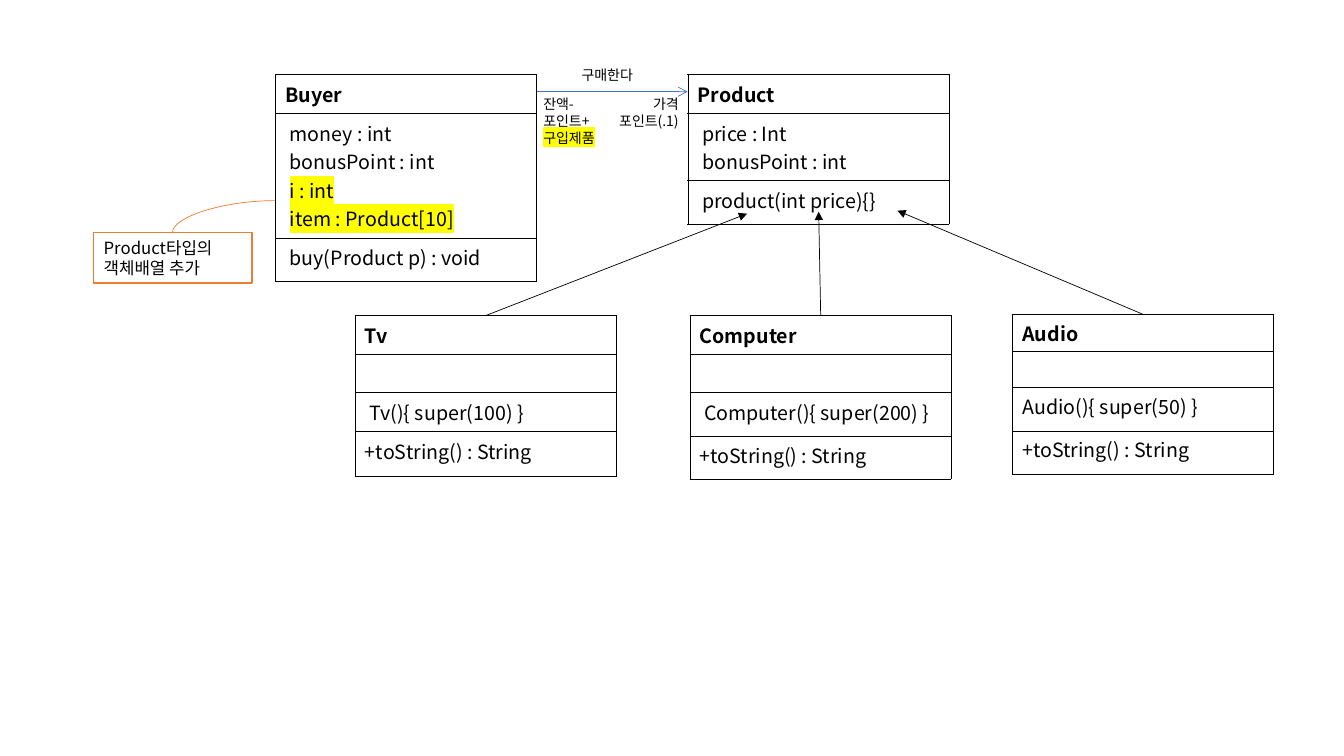
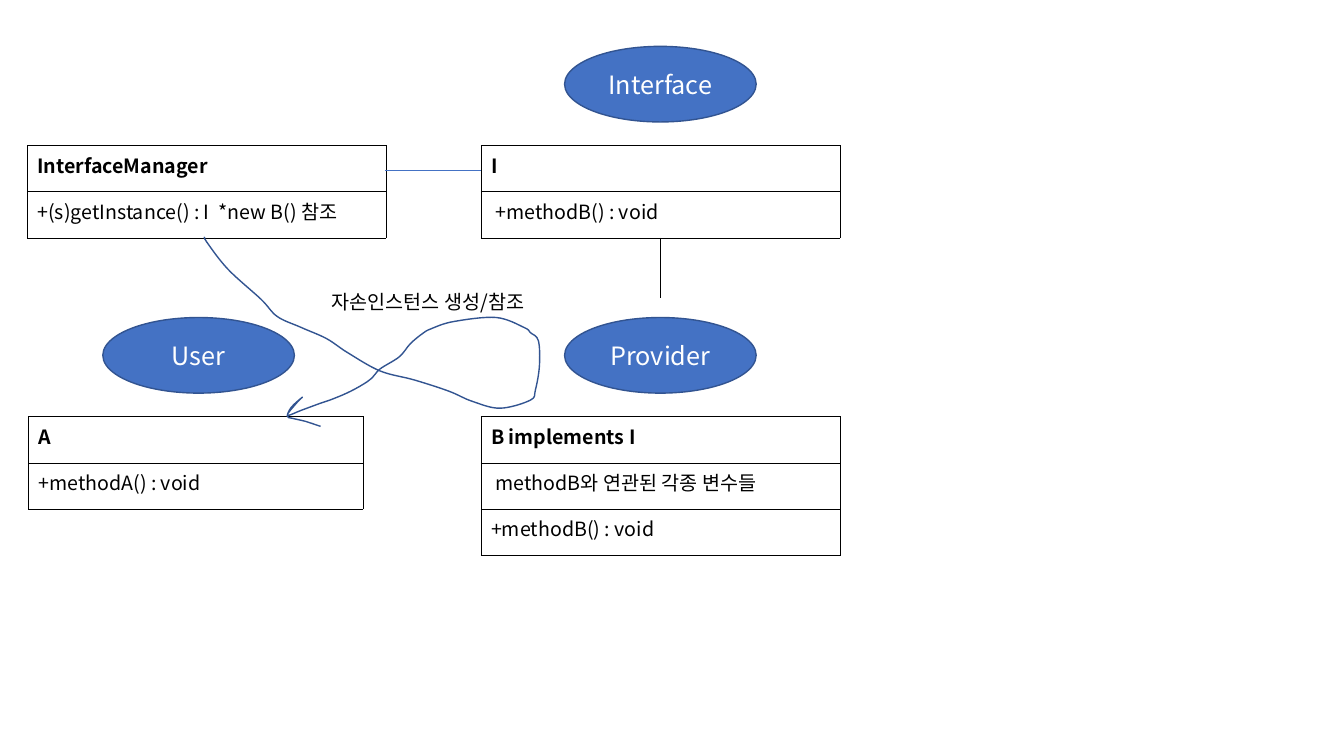
"""Build two class-diagram slides: a shop purchase and an interface manager."""
import lxml.etree
import pptx
import pptx.dml.color
import pptx.enum.shapes
import pptx.enum.text
import pptx.oxml.ns
import pptx.util

Inches = pptx.util.Inches
Pt = pptx.util.Pt
qn = pptx.oxml.ns.qn
rgb = pptx.dml.color.RGBColor.from_string
SubElement = lxml.etree.SubElement
SHAPES = pptx.enum.shapes.MSO_SHAPE
LINES = pptx.enum.shapes.MSO_CONNECTOR
ALIGN = pptx.enum.text.PP_ALIGN
ANCHOR = pptx.enum.text.MSO_ANCHOR
GROW = pptx.enum.text.MSO_AUTO_SIZE.SHAPE_TO_FIT_TEXT

FONT = "Noto Sans CJK KR"
BLACK, WHITE, YELLOW = "000000", "FFFFFF", "FFFF00"
BLUE, NAVY, ORANGE = "4472C4", "325491", "ED7D31"


def write(frame, text, size=14, color=BLACK, bold=False, align=ALIGN.LEFT):
    """Write lines into a text frame; what follows a bar is highlighted."""
    for index, line in enumerate(text.split("\n")):
        para = frame.add_paragraph() if index else frame.paragraphs[0]
        para.alignment = align
        plain, _, marked = line.partition("|")
        for part, highlight in ((plain, None), (marked, YELLOW)):
            if not part:
                continue
            span = para.add_run()
            span.text = part
            span.font.size = Pt(size)
            span.font.bold = bold
            span.font.name = FONT
            span.font.color.rgb = rgb(color)
            properties = span._r.get_or_add_rPr()
            properties.find(qn("a:latin")).addnext(
                properties.makeelement(qn("a:ea"), {"typeface": FONT}))
            if highlight:
                mark = properties.makeelement(qn("a:highlight"), {})
                SubElement(mark, qn("a:srgbClr"), val=highlight)
                properties.find(qn("a:solidFill")).addnext(mark)
        if not line:
            SubElement(para._p, qn("a:endParaRPr"), sz=str(size * 100))


def connect(page, start, end, color=BLACK, head=None, kind=LINES.STRAIGHT):
    """Draw a thin connector, with an arrowhead at its end if one is named."""
    line = page.shapes.add_connector(kind, *map(Inches, start + end))
    line.line.color.rgb = rgb(color)
    line.line.width = Pt(0.5)
    if head:
        SubElement(line.line._get_or_add_ln(), qn("a:tailEnd"), type=head)
    SubElement(line._element.spPr, qn("a:effectLst"))
    return line


deck = pptx.Presentation()
deck.slide_width, deck.slide_height = Inches(13.33), Inches(7.5)
shop, manager = [deck.slides.add_slide(deck.slide_layouts[6]) for _ in range(2)]

classes = [
    (shop, 6.82, 0.74, 2.59, 0.05, [
        (0.36, "Product"), (0.36, " price : Int\n bonusPoint : int"),
        (0.43, " product(int price){}")]),
    (shop, 2.73, 0.74, 2.59, 0.05, [
        (0.36, "Buyer"),
        (0.36, " money : int\n bonusPoint : int\n |i : int\n |item : Product[10]"),
        (0.43, " buy(Product p) : void")]),
    (shop, 3.52, 3.13, 2.59, 0.05, [
        (0.38, "Tv"), (0.38, ""), (0.38, " Tv(){ super(100) }"),
        (0.45, "+toString() : String")]),
    (shop, 6.84, 3.13, 2.59, 0.05, [
        (0.38, "Computer"), (0.38, ""), (0.43, " Computer(){ super(200) }"),
        (0.43, "+toString() : String")]),
    (shop, 10.04, 3.12, 2.59, 0.04, [
        (0.36, "Audio"), (0.36, ""), (0.43, "Audio(){ super(50) }"),
        (0.43, "+toString() : String")]),
    (manager, 0.28, 4.13, 3.32, 0.05, [
        (0.46, "A"), (0.46, "+methodA() : void")]),
    (manager, 4.77, 4.13, 3.56, 0.05, [
        (0.46, "B implements I"), (0.46, " methodB와 연관된 각종 변수들"),
        (0.46, "+methodB() : void")]),
    (manager, 4.77, 1.44, 3.56, 0.05, [
        (0.46, "I"), (0.46, " +methodB() : void")]),
    (manager, 0.27, 1.44, 3.56, 0.05, [
        (0.46, "InterfaceManager"), (0.46, "+(s)getInstance() : I  *new B() 참조")]),
]
for page, left, top, width, margin, rows in classes:
    height = sum(row_height for row_height, _ in rows)
    table = page.shapes.add_table(
        len(rows), 1, Inches(left), Inches(top), Inches(width), Inches(height)).table
    table.first_row = table.horz_banding = False
    for index, (row_height, text) in enumerate(rows):
        table.rows[index].height = Inches(row_height)
        cell = table.cell(index, 0)
        cell.margin_top = cell.margin_bottom = Inches(margin)
        cell.fill.solid()
        cell.fill.fore_color.rgb = rgb(WHITE)
        write(cell.text_frame, text, bold=index == 0)
        properties = cell._tc.get_or_add_tcPr()
        for place, side in enumerate(("a:lnL", "a:lnR", "a:lnT", "a:lnB")):
            border = properties.makeelement(qn(side), {"w": str(Pt(0.25))})
            paint = SubElement(border, qn("a:solidFill"))
            SubElement(paint, qn("a:srgbClr"), val=BLACK)
            properties.insert(place, border)

for start, end in [((4.82, 3.13), (7.41, 2.12)), ((8.14, 3.13), (8.12, 2.1)),
                   ((11.34, 3.12), (8.9, 2.09))]:
    connect(shop, start, end, head="triangle")
connect(shop, (5.33, 0.91), (6.82, 0.91), color=BLUE, head="arrow")
curve = connect(shop, (2.73, 1.99), (1.71, 2.31), color=ORANGE, kind=LINES.CURVE)
curve._element.spPr.find(qn("a:prstGeom")).set("prst", "curvedConnector2")
connect(manager, (6.55, 2.36), (6.55, 2.96))
connect(manager, (4.77, 1.69), (3.82, 1.69), color=BLUE)

labels = [
    (shop, 5.67, 0.61, 0.76, 0.27, "구매한다", 10, ALIGN.LEFT),
    (shop, 6.01, 0.9, 0.82, 0.44, "가격\n포인트(.1)", 10, ALIGN.RIGHT),
    (shop, 5.29, 0.9, 0.76, 0.61, "잔액-\n포인트+\n|구입제품", 10, ALIGN.LEFT),
    (manager, 3.19, 2.83, 2.31, 0.34, "자손인스턴스 생성/참조", 14, ALIGN.LEFT),
]
for page, left, top, width, height, text, size, align in labels:
    box = page.shapes.add_textbox(*map(Inches, (left, top, width, height)))
    box.text_frame.word_wrap = False
    box.text_frame.auto_size = GROW
    write(box.text_frame, text, size=size, align=align)

note = shop.shapes.add_shape(
    SHAPES.RECTANGLE, Inches(0.93), Inches(2.31), Inches(1.57), Inches(0.5))
note.shadow.inherit = False
note.fill.solid()
note.fill.fore_color.rgb = rgb(WHITE)
note.line.color.rgb = rgb(ORANGE)
note.line.width = Pt(1)
note.text_frame.word_wrap = True
note.text_frame.auto_size = GROW
note.text_frame.vertical_anchor = ANCHOR.TOP
write(note.text_frame, "Product타입의 \n객체배열 추가", size=12)

for left, top, role in [(5.6, 0.46, "Interface"), (1.02, 3.15, "User"),
                        (5.6, 3.15, "Provider")]:
    oval = manager.shapes.add_shape(
        SHAPES.OVAL, Inches(left), Inches(top), Inches(1.9), Inches(0.75))
    oval.shadow.inherit = False
    oval.fill.solid()
    oval.fill.fore_color.rgb = rgb(BLUE)
    oval.line.color.rgb = rgb(NAVY)
    oval.line.width = Pt(1)
    oval.text_frame.vertical_anchor = ANCHOR.MIDDLE
    write(oval.text_frame, role, size=18, color=WHITE, align=ALIGN.CENTER)

stroke = [
    (2.03, 2.35), (2.05, 2.4), (2.26, 2.67), (2.59, 2.97), (2.75, 3.14),
    (2.99, 3.25), (3.24, 3.36), (3.45, 3.5), (3.77, 3.68), (4.11, 3.77),
    (4.45, 3.88), (4.68, 3.98), (4.96, 4.05), (5.26, 3.97), (5.31, 3.87),
    (5.35, 3.63), (5.34, 3.38), (5.26, 3.3), (5.2, 3.25), (4.92, 3.15),
    (4.5, 3.19), (4.28, 3.26), (4.19, 3.31), (4.07, 3.41), (3.96, 3.54),
    (3.77, 3.66), (3.69, 3.75), (3.59, 3.82), (3.44, 3.9), (3.27, 3.97),
    (3.18, 4), (2.99, 4.07), (2.85, 4.12), (2.94, 4), (3, 3.94),
    (2.89, 4.04), (2.85, 4.13), (2.9, 4.15), (3.03, 4.18), (3.09, 4.2),
    (3.18, 4.23),
]
builder = manager.shapes.build_freeform(*map(Inches, stroke[0]))
builder.add_line_segments([tuple(map(Inches, point)) for point in stroke[1:]], close=False)
reference = builder.convert_to_shape()
reference.shadow.inherit = False
reference.fill.background()
reference.line.color.rgb = rgb(NAVY)
reference.line.width = Pt(1)

corners = [(int(point.get("x")), int(point.get("y")))
           for point in reference._element.iter(qn("a:pt"))]
padded = corners[:1] + corners + corners[-1:]
segments = list(reference._element.iter(qn("a:lnTo")))
for segment, before, start, end, after in zip(
        segments, padded, padded[1:], padded[2:], padded[3:]):
    leaving = [b + (c - a) / 6 for a, b, c in zip(before, start, end)]
    arriving = [c - (d - b) / 6 for b, c, d in zip(start, end, after)]
    bend = segment.makeelement(qn("a:cubicBezTo"), {})
    for x, y in (leaving, arriving, end):
        SubElement(bend, qn("a:pt"), x=str(round(x)), y=str(round(y)))
    segment.getparent().replace(segment, bend)

deck.save("out.pptx")
